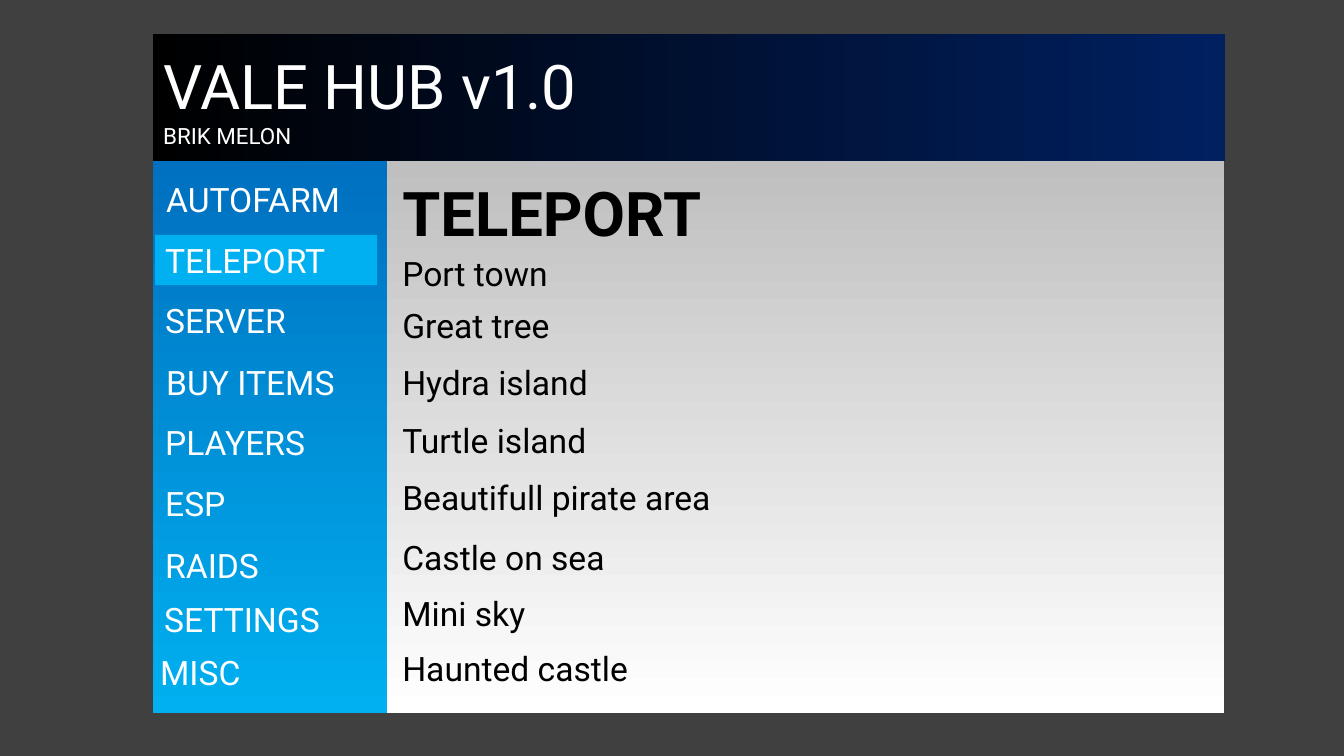
from pptx import Presentation
from pptx.dml.color import RGBColor
from pptx.enum.shapes import MSO_SHAPE as Shape
from pptx.enum.text import MSO_ANCHOR as Anchor, MSO_AUTO_SIZE as Auto, PP_ALIGN as Align
from pptx.util import Inches, Pt
from lxml.etree import SubElement as Sub

CELL = 0.1  # inches per grid column and row
WHITE, BLACK, SKY = "FFFFFF", "000000", "00B0F0"
MENU = [  # label, column, row
    ("AUTOFARM", 15.5, 17.3), ("TELEPORT", 15.4, 23.3), ("SERVER", 15.4, 29.3),
    ("BUY ITEMS", 15.5, 35.4), ("PLAYERS", 15.4, 41.4), ("ESP", 15.4, 47.4),
    ("RAIDS", 15.4, 53.6), ("SETTINGS", 15.3, 58.9), ("MISC", 14.9, 64.2),
]
PLACES = [  # name, space above in points
    ("Port town", 0), ("Great tree", 8.6), ("Hydra island", 11.5),
    ("Turtle island", 13), ("Beautifull pirate area", 11.5),
    ("Castle on sea", 14.4), ("Mini sky", 10.8), ("Haunted castle", 10.8),
]


def paint(code):
    return RGBColor.from_string(code)


def grid(*cells):
    return [Inches(cell * CELL) for cell in cells]


def write(frame, text, size=24, color=WHITE, bold=False, above=0):
    """Add one paragraph, filling the first one while it is empty."""
    para = frame.paragraphs[0] if not frame.text else frame.add_paragraph()
    para.alignment, para.line_spacing = Align.LEFT, 1.0
    para.space_before, para.space_after = Pt(above), Pt(0)
    run = para.add_run()
    run.text = text
    font = run.font
    font.name, font.size, font.bold = "Roboto", Pt(size), bold
    font.color.rgb = paint(color)
    return para


class Page:
    def __init__(self, deck):
        self.slide = deck.slides.add_slide(deck.slide_layouts[1])
        self.shapes = self.slide.shapes
        self.title, self.body = self.slide.placeholders
        back = self.slide.background.fill
        back.solid()
        back.fore_color.rgb = paint("404040")

    def frame(self, shape, anchor=Anchor.TOP):
        frame = shape.text_frame
        frame.word_wrap, frame.auto_size = True, Auto.NONE
        frame.vertical_anchor = anchor
        return frame

    def block(self, area, *colors, angle=0):
        """Draw a rectangle in one colour or a gradient of two."""
        rect = self.shapes.add_shape(Shape.RECTANGLE, *grid(*area))
        rect.shadow.inherit = False
        rect.line.fill.background()
        if len(colors) == 1:
            rect.fill.solid()
            rect.fill.fore_color.rgb = paint(colors[0])
        else:
            rect.fill.gradient()
            rect.fill.gradient_angle = angle
            for stop, color in zip(rect.fill.gradient_stops, colors):
                stop.color.rgb = paint(color)
        return rect

    def label(self, area):
        return self.frame(self.shapes.add_textbox(*grid(*area)))

    def holder(self, shape, area):
        """Place a template placeholder above the blocks drawn so far."""
        shape.left, shape.top, shape.width, shape.height = grid(*area)
        tree = shape.element.getparent()
        tree.append(shape.element)
        return self.frame(shape)

    def list(self, area, items):
        frame = self.holder(self.body, area)
        for name, above in items:
            props = write(frame, name, color=BLACK, above=above)._p.get_or_add_pPr()
            props.set("marL", "0")
            props.set("indent", "0")
            Sub(props, "{http://schemas.openxmlformats.org/drawingml/2006/main}buNone")


def main():
    deck = Presentation()
    deck.slide_width, deck.slide_height = Inches(13.33), Inches(7.5)
    page = Page(deck)

    page.block((15.2, 16, 23.3, 54.7), "0070C0", SKY, angle=270)
    page.block((38.4, 16, 83, 54.7), "BFBFBF", WHITE, angle=270)
    page.block((15.2, 3.4, 106.3, 12.6), BLACK, "002060")

    head = page.label((15.2, 4.3, 59.4, 10.8))
    write(head, "VALE HUB v1.0", size=44)
    write(head, "BRIK MELON", size=16)

    for name, col, row in MENU:
        area = (col, row, 22, 5)
        if name == "TELEPORT":
            frame = page.frame(page.block(area, SKY), Anchor.MIDDLE)
        else:
            frame = page.label(area)
        write(frame, name)

    title = page.holder(page.title, (38.9, 16.9, 77.5, 8.4))
    write(title, "TELEPORT", size=44, color=BLACK, bold=True)
    page.list((38.9, 24.6, 80.5, 43.5), PLACES)
    deck.save("out.pptx")


if __name__ == "__main__":
    main()
